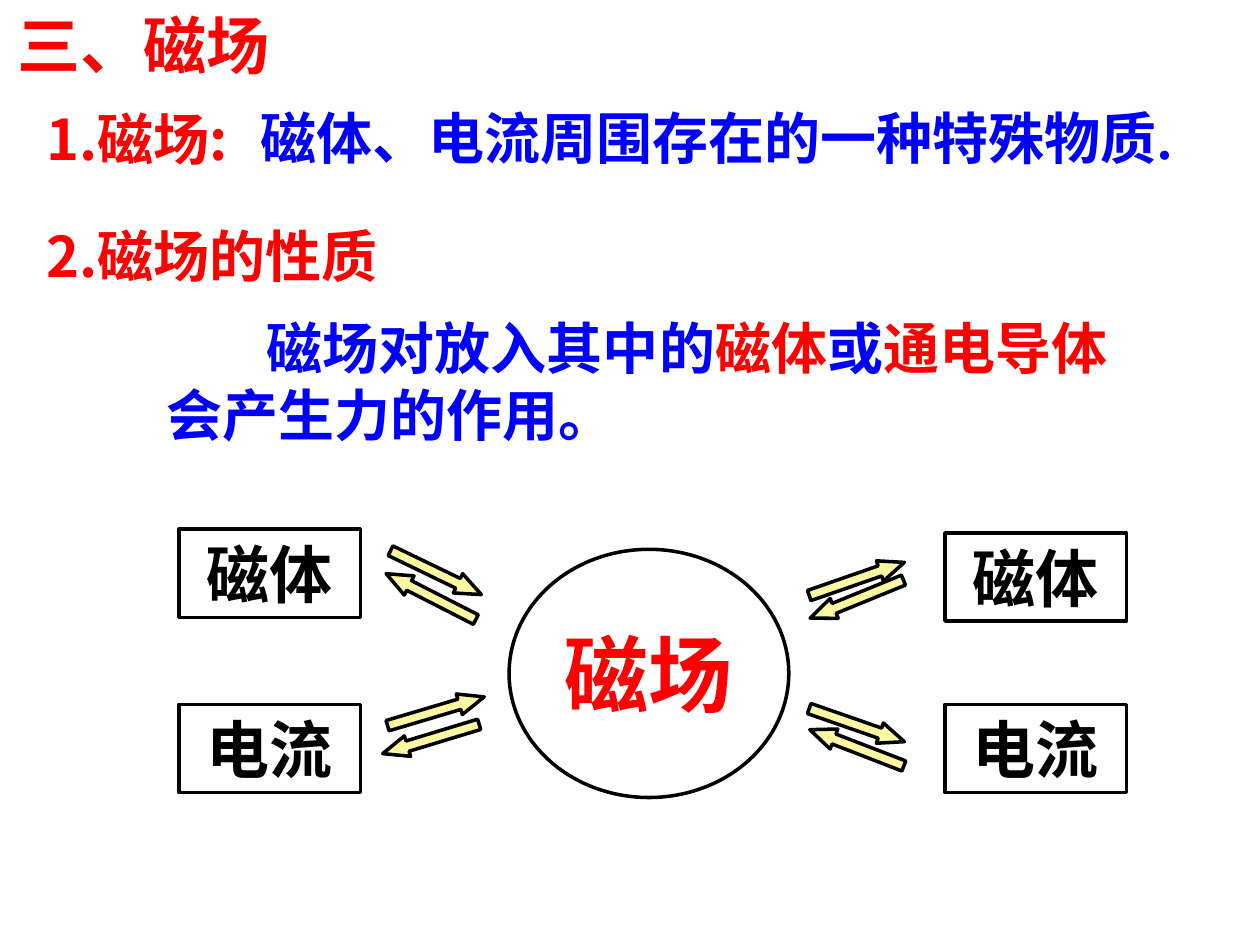
from dataclasses import dataclass

from pptx import Presentation
from pptx import util as u
from pptx.dml.color import RGBColor
from pptx.enum import shapes, text


@dataclass(frozen=True)
class Theme:
    sans: str = "Noto Sans CJK SC"
    serif: str = "Times New Roman"
    red: str = "FF0000"
    blue: str = "0000FF"
    black: str = "000000"
    white: str = "FFFFFF"
    arrow: str = "FCF8A2"
    title: int = 36
    body: int = 32
    field: int = 48
    line: int = 2


class PageBuilder:
    def __init__(self, page, theme):
        self.page = page
        self.theme = theme

    def style_font(self, font, name, size, color=None):
        font.name = name
        font.size = u.Pt(size)
        font.bold = True
        if color:
            font.color.rgb = RGBColor.from_string(color)

    def text_box(self, bounds, spans, name, size, wrap=True, indent=0):
        """Add one paragraph made of (wording, colour) spans."""
        box = self.page.shapes.add_textbox(*map(u.Inches, bounds))
        box.text_frame.word_wrap = wrap
        para = box.text_frame.paragraphs[0]
        if indent:
            para._p.get_or_add_pPr().set("indent", str(u.Inches(indent)))
        self.style_font(para.font, name, size)
        for wording, color in spans:
            span = para.add_run()
            span.text = wording
            self.style_font(span.font, name, size, color)

    def shape(self, kind, bounds, fill):
        shape = self.page.shapes.add_shape(kind, *map(u.Inches, bounds))
        shape.shadow.inherit = False
        shape.fill.solid()
        shape.fill.fore_color.rgb = RGBColor.from_string(fill)
        shape.line.color.rgb = RGBColor.from_string(self.theme.black)
        shape.line.width = u.Pt(self.theme.line)
        return shape

    def node(self, kind, bounds, wording, size, color):
        frame = self.shape(kind, bounds, self.theme.white).text_frame
        frame.word_wrap = False
        frame.vertical_anchor = text.MSO_ANCHOR.MIDDLE
        para = frame.paragraphs[0]
        para.alignment = text.PP_ALIGN.CENTER
        span = para.add_run()
        span.text = wording
        self.style_font(span.font, self.theme.sans, size, color)

    def arrow(self, left, top, angle):
        arrow = self.shape(shapes.MSO_SHAPE.RIGHT_ARROW,
                           (left, top, 0.8, 0.17), self.theme.arrow)
        arrow.adjustments[1] = 1.21
        arrow.rotation = angle


def main():
    deck = Presentation()
    deck.slide_width, deck.slide_height = u.Inches(10), u.Inches(7.5)
    theme = Theme()
    builder = PageBuilder(deck.slides.add_slide(deck.slide_layouts[6]), theme)

    # Headings
    for bounds, wording, size in (
        ((0.04, 0, 3.07, 0.7), "三、磁场", theme.title),
        ((0.27, 0.78, 3.09, 0.64), "1.磁场:", theme.body),
        ((0.27, 1.71, 4.25, 0.64), "2.磁场的性质", theme.body),
    ):
        builder.text_box(bounds, [(wording, theme.red)], theme.sans, size)

    # Definition and property
    builder.text_box((1.97, 0.77, 7.54, 0.64),
                     [("磁体、电流周围存在的一种特殊物质.", theme.blue)],
                     theme.serif, theme.body, wrap=False)
    builder.text_box((1.22, 2.44, 8, 1.24),
                     [("磁场对放入其中的", theme.blue), ("磁体", theme.red),
                      ("或", theme.blue), ("通电导体", theme.red),
                      ("会产生力的作用。", theme.blue)],
                     theme.serif, theme.body, indent=0.8)

    # Sources around the field
    for left, top, wording in ((1.42, 4.2, "磁体"), (7.5, 4.23, "磁体"),
                               (1.42, 5.59, "电流"), (7.5, 5.59, "电流")):
        builder.node(shapes.MSO_SHAPE.RECTANGLE, (left, top, 1.44, 0.7),
                     wording, theme.title, theme.black)
    builder.node(shapes.MSO_SHAPE.OVAL, (4.04, 4.36, 2.22, 1.97),
                 "磁场", theme.field, theme.red)

    # Paired arrows for the mutual action
    for left, top, angle in (
        (3.06, 4.46, 25.8), (3.02, 4.65, 207.1),
        (3.06, 5.56, 343.4), (3.02, 5.78, 163.1),
        (6.4, 4.51, 340.8), (6.4, 4.67, 157.8),
        (6.4, 5.67, 19.2), (6.4, 5.85, 201.1),
    ):
        builder.arrow(left, top, angle)

    deck.save("out.pptx")


if __name__ == "__main__":
    main()
